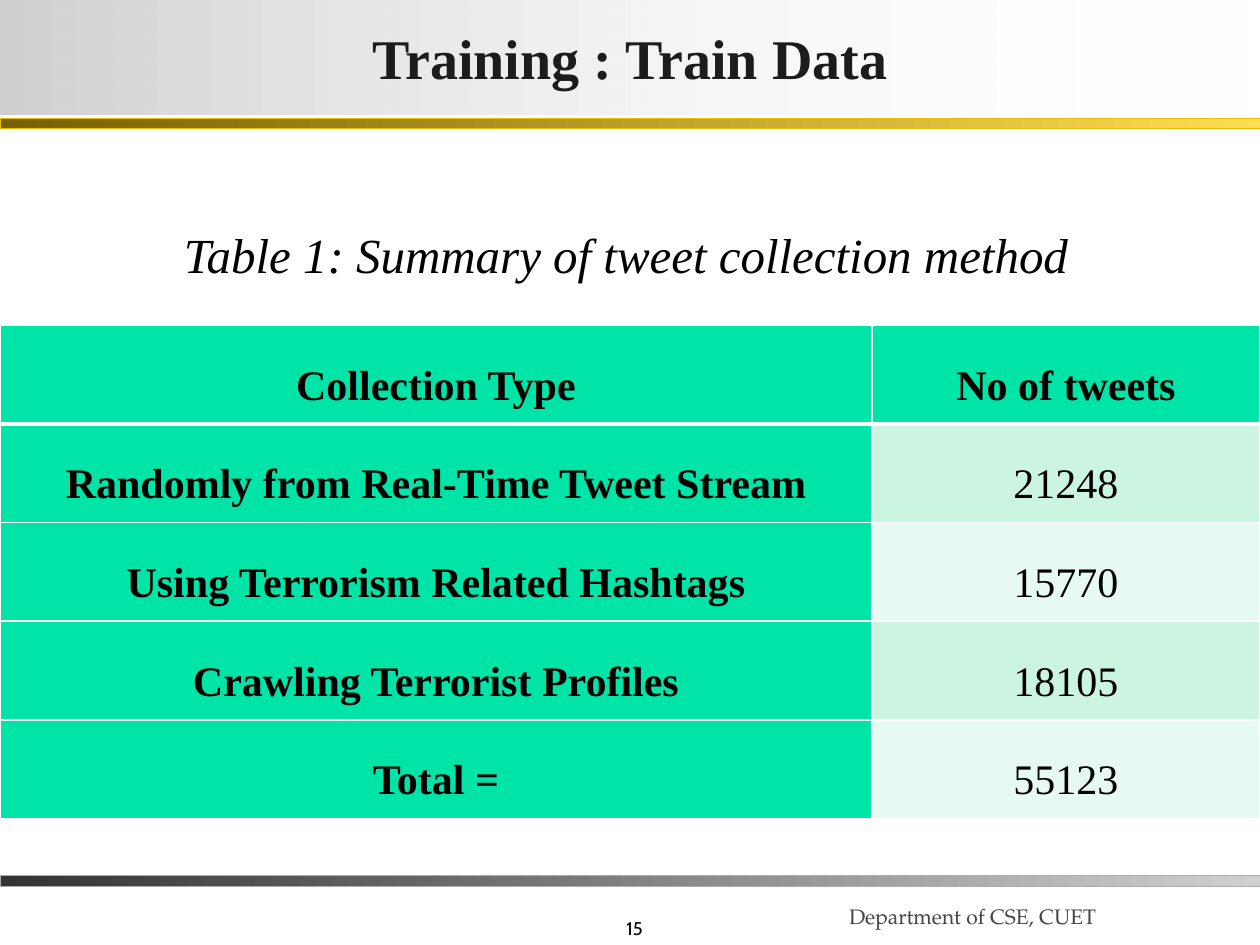
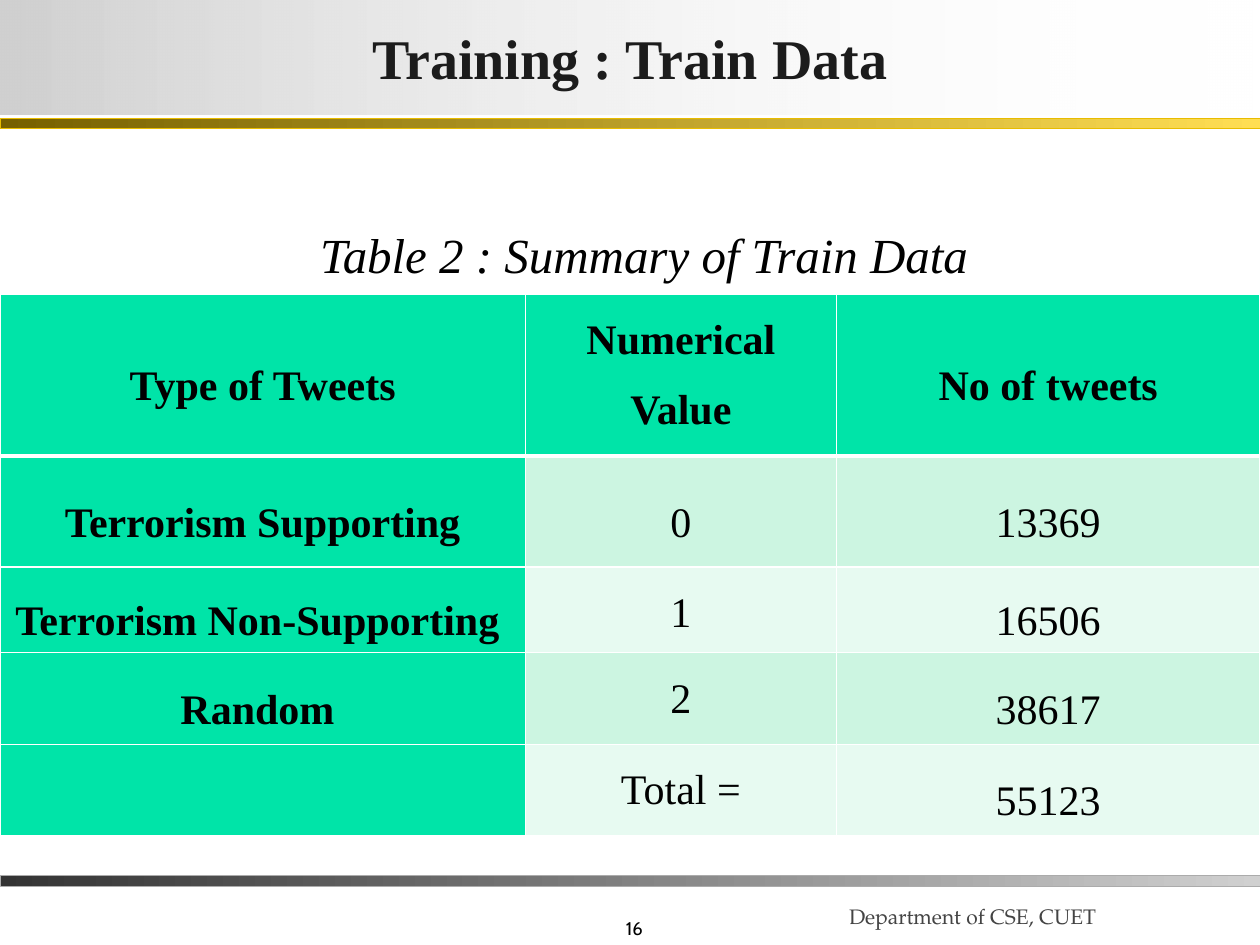
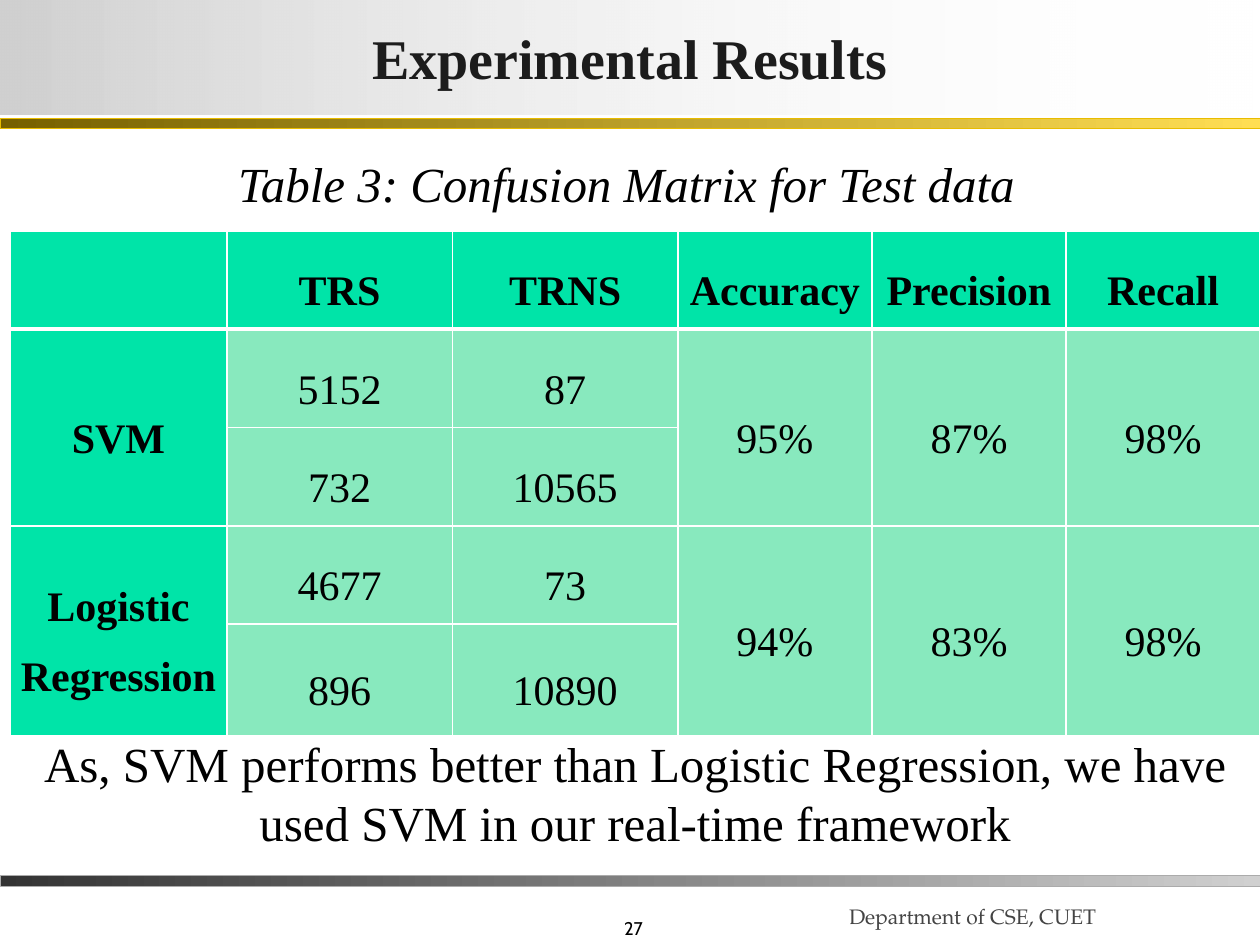
from lxml import etree
from pptx import Presentation
from pptx.dml.color import RGBColor
from pptx.enum import shapes, text
from pptx.oxml import ns
from pptx.util import Pt

SERIF = "Times New Roman"
BLACK = "000000"
WHITE = "FFFFFF"
HEADER_FILL = "00E4A8"
MINT_BANDS = ["E7FAF1", "CCF5E1"]
PLAIN_BANDS = ["88E9BE", "88E9BE"]
BANDS = [
    (500.4, 5.8, "333333", "D0D0D0", "ABABAB"),
    (67.7, 5.8, "766000", "FFDE53", "E8BC00"),
    (0, 65.5, "D0D0D0", WHITE, None),
]
MIDDLE = text.MSO_ANCHOR.MIDDLE
TOP = text.MSO_ANCHOR.TOP
BOTTOM = text.MSO_ANCHOR.BOTTOM
LEFT = text.PP_ALIGN.LEFT
CENTER = text.PP_ALIGN.CENTER
RIGHT = text.PP_ALIGN.RIGHT

slides = [
    {
        "number": "15",
        "title": "Training : Train Data",
        "caption": "Table 1: Summary of tweet collection method",
        "caption_at": (105.1, 118.1, 510.5, 92.2),
        "table_at": (0, 185.8),
        "columns": [498.2, 221.8],
        "rows": [56.4] * 5,
        "bands": MINT_BANDS,
        "top_cells": [],
        "cells": [
            ["Collection Type", "No of tweets"],
            ["Randomly from Real-Time Tweet Stream", "21248"],
            ["Using Terrorism Related Hashtags", "15770"],
            ["Crawling Terrorist Profiles", "18105"],
            ["Total =", "55123"],
        ],
    },
    {
        "number": "16",
        "title": "Training : Train Data",
        "caption": "Table 2 : Summary of Train Data",
        "caption_at": (182.9, 118.1, 374.4, 92.2),
        "table_at": (0, 168),
        "columns": [300.2, 177.8, 242],
        "rows": [92.6, 63.4, 49, 52.4, 52.4],
        "bands": MINT_BANDS,
        "top_cells": [(0, 1), (2, 1), (3, 1), (4, 1)],
        "cells": [
            ["Type of Tweets", "Numerical Value", "No of tweets"],
            ["Terrorism Supporting", "0", "13369"],
            ["Terrorism Non-Supporting ", "1", "16506"],
            ["Random ", "2", "38617"],
            ["", "Total =", "55123"],
        ],
    },
    {
        "number": "27",
        "title": "Experimental Results",
        "caption": "Table 3: Confusion Matrix for Test data",
        "caption_at": (136.1, 77.8, 448.6, 68.4),
        "table_at": (5.8, 131.9),
        "columns": [123.8, 128.9, 128.9, 110.9, 110.9, 110.9],
        "rows": [56.2, 56.2, 56.2, 56.2, 63.6],
        "bands": PLAIN_BANDS,
        "top_cells": [],
        "cells": [
            ["", "TRS", "TRNS", "Accuracy", "Precision", "Recall"],
            ["SVM", "5152", "87", "95%", "87%", "98%"],
            [None, "732", "10565", None, None, None],
            ["Logistic Regression", "4677", "73", "94%", "83%", "98%"],
            [None, "896", "10890", None, None, None],
        ],
        "conclusion": "As, SVM performs better than Logistic Regression, "
                      "we have used SVM in our real-time framework",
    },
]


def color(value):
    return RGBColor.from_string(value)


def write(frame, words, size=28, font=SERIF, ink=BLACK, bold=False, italic=False,
          align=LEFT, anchor=MIDDLE, wrap=True, insets=(7.2, 3.6, 7.2, 3.6)):
    frame.word_wrap = wrap
    frame.vertical_anchor = anchor
    frame.margin_left, frame.margin_top, frame.margin_right, frame.margin_bottom = map(Pt, insets)
    para = frame.paragraphs[0]
    para.alignment = align
    span = para.add_run()
    span.text = words
    span.font.size = Pt(size)
    span.font.name = font
    span.font.bold = bold
    span.font.italic = italic
    span.font.color.rgb = color(ink)
    return para


deck = Presentation()
deck.slide_width = Pt(720)
deck.slide_height = Pt(540)

for content in slides:
    page = deck.slides.add_slide(deck.slide_layouts[6])

    number_box = page.shapes.add_textbox(Pt(224.6), Pt(504), Pt(149.8), Pt(36))
    write(number_box.text_frame, content["number"], size=10.5, font="Cabin",
          align=RIGHT, anchor=BOTTOM)
    footer_box = page.shapes.add_textbox(Pt(478.1), Pt(489.6), Pt(247.7), Pt(44.6))
    write(footer_box.text_frame, "Department of CSE, CUET", size=12,
          font="TeX Gyre Pagella", ink="444444", anchor=BOTTOM)

    for top, height, start, end, outline in BANDS:
        band = page.shapes.add_shape(shapes.MSO_SHAPE.RECTANGLE, 0, Pt(top), Pt(720), Pt(height))
        band.shadow.inherit = False
        band.fill.gradient()
        band.fill.gradient_angle = 0
        for stop, shade in zip(band.fill.gradient_stops, (start, end)):
            stop.color.rgb = color(shade)
        if outline:
            band.line.color.rgb = color(outline)
            band.line.width = Pt(0.25)
        else:
            band.line.fill.background()
            fade = band.element.xpath(".//a:gs[last()]/a:srgbClr")[0]
            etree.SubElement(fade, ns.qn("a:alpha"), val="0")
            write(band.text_frame, content["title"], size=32, ink="1C1C1C", bold=True,
                  align=CENTER, insets=(1.4, 0.7, 1.4, 0.7))

    left, top = content["table_at"]
    cells = content["cells"]
    grid = page.shapes.add_table(
        len(cells), len(cells[0]), Pt(left), Pt(top),
        Pt(sum(content["columns"])), Pt(sum(content["rows"]))).table
    for column, width in zip(grid.columns, content["columns"]):
        column.width = Pt(width)
    for row, height in zip(grid.rows, content["rows"]):
        row.height = Pt(height)

    for r, line in enumerate(cells):
        for c, words in enumerate(line):
            cell = grid.cell(r, c)
            heading = r == 0 or c == 0
            properties = cell._tc.get_or_add_tcPr()
            for side in ("lnL", "lnR", "lnT", "lnB"):
                thick = (r, side) in [(0, "lnB"), (1, "lnT")]
                border = etree.SubElement(properties, ns.qn("a:" + side), w=str(Pt(3 if thick else 1)))
                paint = etree.SubElement(border, ns.qn("a:solidFill"))
                etree.SubElement(paint, ns.qn("a:srgbClr"), val=WHITE)
            cell.fill.solid()
            cell.fill.fore_color.rgb = color(HEADER_FILL if heading else content["bands"][r % 2])
            cell.margin_left = cell.margin_right = Pt(5)
            cell.margin_top = cell.margin_bottom = 0
            cell.vertical_anchor = TOP if (r, c) in content["top_cells"] else MIDDLE
            if words is None:
                grid.cell(r - 1, c).merge(cell)
            elif words:
                para = cell.text_frame.paragraphs[0]
                para.alignment = CENTER
                para.line_spacing = 1.5
                para.space_before = para.space_after = Pt(12)
                span = para.add_run()
                span.text = words
                span.font.size = Pt(24)
                span.font.name = SERIF
                span.font.bold = heading
                span.font.color.rgb = color(BLACK)

    caption_box = page.shapes.add_textbox(*map(Pt, content["caption_at"]))
    write(caption_box.text_frame, content["caption"], italic=True, anchor=TOP,
          wrap=False, insets=(0, 10, 0, 0))

    if "conclusion" in content:
        conclusion_box = page.shapes.add_textbox(Pt(5.8), Pt(409), Pt(714.2), Pt(77.8))
        write(conclusion_box.text_frame, content["conclusion"], align=CENTER,
              insets=(0, 10, 0, 0))

deck.save("out.pptx")
